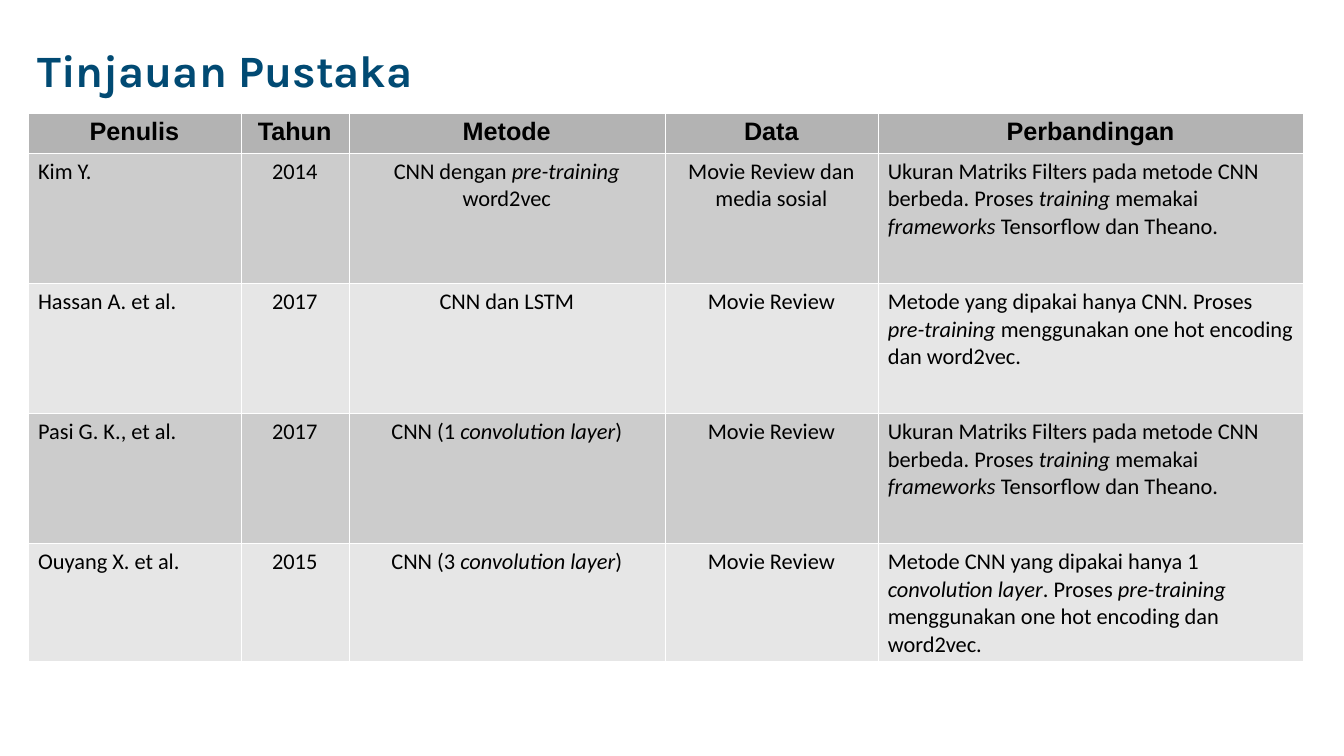
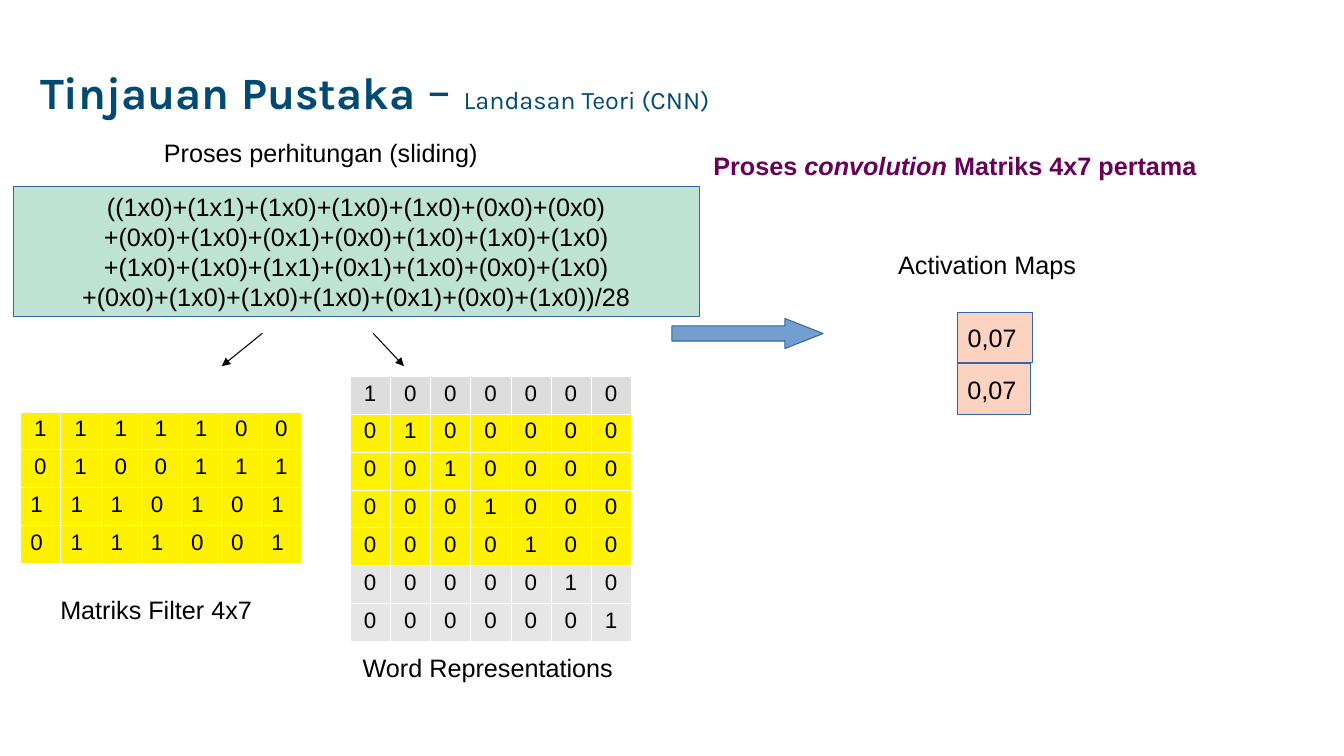
from lxml import etree
from pptx import Presentation
from pptx.dml.color import RGBColor
from pptx.enum.shapes import MSO_CONNECTOR, MSO_SHAPE
from pptx.enum.text import MSO_ANCHOR, PP_ALIGN
from pptx.oxml.ns import qn
from pptx.util import Pt

LEFT, CENTER = PP_ALIGN.LEFT, PP_ALIGN.CENTER
TOP, MIDDLE = MSO_ANCHOR.TOP, MSO_ANCHOR.MIDDLE
RECTANGLE, RIGHT_ARROW = MSO_SHAPE.RECTANGLE, MSO_SHAPE.RIGHT_ARROW
STRAIGHT = MSO_CONNECTOR.STRAIGHT

COLORS = {
    "title": "014A73", "text": "000000", "accent": "680059", "white": "FFFFFF",
    "header": "B3B3B3", "dark_band": "CCCCCC", "light_band": "E6E6E6",
    "first_row": "DDDDDD", "window": "FFF200",
    "formula": "BEE3D3", "result": "FCD3C1", "outline": "3465A4", "arrow": "729FCF",
}
TITLE = "Tinjauan Pustaka"
HEADERS = ["Penulis", "Tahun", "Metode", "Data", "Perbandingan"]
COLUMN_WIDTHS = [152, 77, 226, 152, 304]
COLUMN_ALIGNS = [LEFT, CENTER, CENTER, CENTER, LEFT]
FILTER_SIZES = ("Ukuran Matriks Filters pada metode CNN berbeda. Proses *training* memakai "
                "*frameworks* Tensorflow dan Theano.")
STUDIES = [
    ["Kim Y.", "2014", "CNN dengan *pre-training* word2vec",
     "Movie Review dan media sosial", FILTER_SIZES],
    ["Hassan A. et al.", "2017", "CNN dan LSTM", "Movie Review",
     "Metode yang dipakai hanya CNN. Proses *pre-training* menggunakan "
     "one hot encoding dan word2vec."],
    ["Pasi G. K., et al.", "2017", "CNN (1 *convolution layer*)", "Movie Review",
     FILTER_SIZES],
    ["Ouyang X. et al.", "2015", "CNN (3 *convolution layer*)", "Movie Review",
     "Metode CNN yang dipakai hanya 1 *convolution layer*. Proses *pre-training* "
     "menggunakan one hot encoding dan word2vec."],
]
FORMULA = [
    "((1x0)+(1x1)+(1x0)+(1x0)+(1x0)+(0x0)+(0x0)",
    "+(0x0)+(1x0)+(0x1)+(0x0)+(1x0)+(1x0)+(1x0)",
    "+(1x0)+(1x0)+(1x1)+(0x1)+(1x0)+(0x0)+(1x0)",
    "+(0x0)+(1x0)+(1x0)+(1x0)+(0x1)+(0x0)+(1x0))/28",
]
FILTER = ["1111100", "0100111", "1110101", "0111001"]
WORDS = ["".join("1" if column == row else "0" for column in range(7)) for row in range(7)]


def color(name):
    return RGBColor.from_string(COLORS[name])


def points(box):
    return [Pt(length) for length in box]


def within(box, left, top, width, height):
    return box[0] + left, box[1] + top, width, height


def add_span(para, text, size, font="Arial", tint="text", bold=False, italic=False):
    span = para.add_run()
    span.text = text
    span.font.size = Pt(size)
    span.font.name = font
    span.font.bold = bold
    span.font.italic = italic
    span.font.color.rgb = color(tint)


def write(frame, lines, align=LEFT, size=18, **style):
    for index, line in enumerate(lines):
        para = frame.add_paragraph() if index else frame.paragraphs[0]
        para.alignment = align
        for order, part in enumerate(line.split("*")):
            if part:
                add_span(para, part, size, italic=order % 2 == 1, **style)


def add_text(page, box, text, **style):
    frame = page.shapes.add_textbox(*points(box)).text_frame
    frame.word_wrap = True
    write(frame, [text], **style)


def add_title(page, box, spans):
    frame = page.shapes.add_textbox(*points(box)).text_frame
    frame.word_wrap = True
    frame.vertical_anchor = MIDDLE
    para = frame.paragraphs[0]
    para.line_spacing = 0.9
    for text, size, bold in spans:
        add_span(para, text, size, "Karla", "title", bold)


def add_panel(page, box, kind, fill, lines=(), align=LEFT):
    panel = page.shapes.add_shape(kind, *points(box))
    panel.shadow.inherit = False
    panel.fill.solid()
    panel.fill.fore_color.rgb = color(fill)
    panel.line.color.rgb = color("outline")
    panel.line.width = Pt(0.75)
    panel.text_frame.word_wrap = False
    panel.text_frame.vertical_anchor = MIDDLE
    write(panel.text_frame, lines, align)
    return panel


def add_arrow(page, start, end):
    arrow = page.shapes.add_connector(STRAIGHT, *points(start + end))
    arrow.line.color.rgb = color("text")
    arrow.line.width = Pt(0.75)
    etree.SubElement(arrow.line._get_or_add_ln(), qn("a:tailEnd"), type="triangle")
    etree.SubElement(arrow._element.spPr, qn("a:effectLst"))


def add_grid(page, box, widths, heights):
    grid = page.shapes.add_table(len(heights), len(widths), *points(box)).table
    grid.first_row = False
    grid.horz_banding = False
    for column, width in zip(grid.columns, widths):
        column.width = Pt(width)
    for row, height in zip(grid.rows, heights):
        row.height = Pt(height)
    return grid


def fill_cell(cell, text, fill, align, **style):
    cell.fill.solid()
    cell.fill.fore_color.rgb = color(fill)
    cell.vertical_anchor = TOP
    properties = cell._tc.get_or_add_tcPr()
    for index, side in enumerate(("lnL", "lnR", "lnT", "lnB")):
        border = etree.Element(qn("a:" + side), w=str(Pt(0.06)))
        solid = etree.SubElement(border, qn("a:solidFill"))
        etree.SubElement(solid, qn("a:srgbClr"), val=COLORS["white"])
        properties.insert(index, border)
    write(cell.text_frame, [text], align, **style)


def add_matrix(page, box, rows, fills, aligns):
    width, height = box[2] / len(rows[0]), box[3] / len(rows)
    grid = add_grid(page, box, [width] * len(rows[0]), [height] * len(rows))
    for row, (digits, fill, align) in enumerate(zip(rows, fills, aligns)):
        for column, digit in enumerate(digits):
            fill_cell(grid.cell(row, column), digit, fill, align, size=16)


def add_studies(page, box):
    grid = add_grid(page, box, COLUMN_WIDTHS, [28.5, 93, 93, 93, 81])
    for column, header in enumerate(HEADERS):
        fill_cell(grid.cell(0, column), header, "header", CENTER, bold=True)
    for row, study in enumerate(STUDIES, 1):
        band = "dark_band" if row % 2 else "light_band"
        for column, text in enumerate(study):
            fill_cell(grid.cell(row, column), text, band, COLUMN_ALIGNS[column],
                      size=16, font="Calibri")


def add_calculation(page, box):
    left, top = box[:2]
    add_text(page, within(box, 100.5, 0, 279, 27), "Proses perhitungan (sliding)")
    add_panel(page, within(box, 0, 38.5, 490, 93), RECTANGLE, "formula", FORMULA, CENTER)
    for start, end in ((178, 149), (257, 279)):
        add_arrow(page, (left + start, top + 143.5), (left + end, top + 167))
    add_matrix(page, within(box, 5, 199.5, 201, 108), FILTER,
               ["window"] * 4, [CENTER] * 2 + [LEFT] * 2)
    add_text(page, within(box, 26.5, 326.5, 186, 27), "Matriks Filter 4x7")
    add_matrix(page, within(box, 240.5, 174, 201, 189.5), WORDS,
               ["first_row"] + ["window"] * 4 + ["light_band"] * 2, [CENTER] * 7)
    add_text(page, within(box, 242.5, 368, 216, 27), "Word Representations")


def add_activation(page, box):
    add_text(page, within(box, 22.5, 0, 443, 47.5),
             "Proses *convolution* Matriks 4x7 pertama", tint="accent", bold=True)
    add_text(page, within(box, 154.5, 71, 172, 27), "Activation Maps")
    arrow = add_panel(page, within(box, 0, 124, 108, 21.5), RIGHT_ARROW, "arrow")
    arrow.adjustments[0] = 0.5
    arrow.adjustments[1] = 1.27
    for index, width in enumerate((53.5, 52)):
        add_panel(page, within(box, 204, 119.5 + 37 * index, width, 36),
                  RECTANGLE, "result", ["0,07"])


def main():
    deck = Presentation()
    deck.slide_width, deck.slide_height = Pt(960), Pt(540)
    blank = deck.slide_layouts[6]

    page = deck.slides.add_slide(blank)
    add_title(page, (19.5, 0, 414, 104), [(TITLE, 32, True)])
    add_studies(page, (20, 80.5, 911, 388.5))

    page = deck.slides.add_slide(blank)
    add_title(page, (21.5, 14.5, 569, 104),
              [(TITLE, 32, True), (" – ", 36, False), ("Landasan Teori (CNN)", 18, False)])
    add_calculation(page, (9.5, 94.5, 490, 395))
    add_activation(page, (480, 103.5, 466, 193))

    deck.save("out.pptx")


if __name__ == "__main__":
    main()
